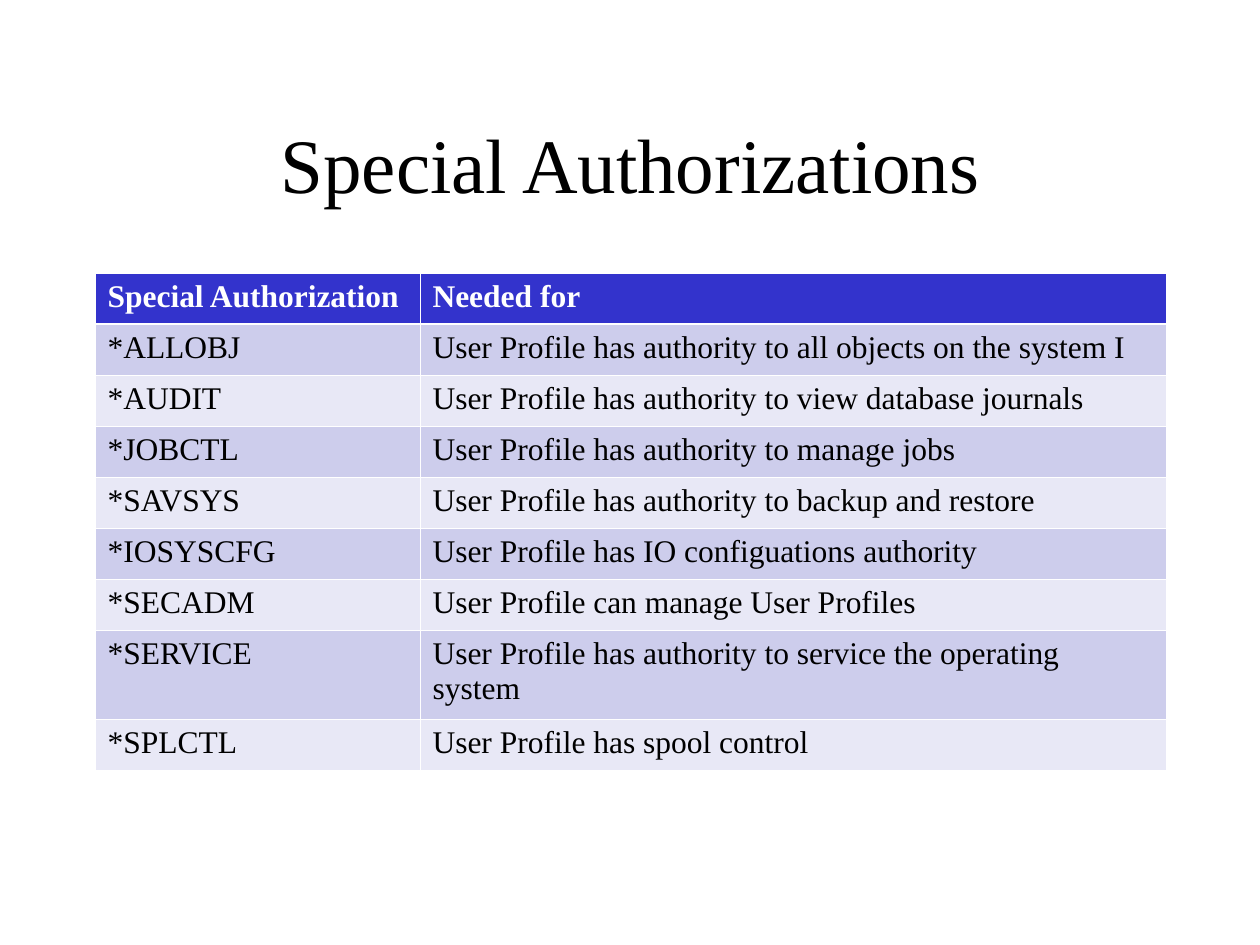
from lxml import etree
from pptx import Presentation
from pptx import util as u
from pptx.dml.color import RGBColor
from pptx.enum import text
from pptx.oxml import ns

PX = 914400 / 126
FONT = "Times New Roman"
COLORS = {
    "ink": "000000",
    "white": "FFFFFF",
    "header": "3333CC",
    "band_dark": "CDCDEC",
    "band_light": "E8E8F6",
}
HEADER = ("Special Authorization", "Needed for")
AUTHORIZATIONS = [
    ("*ALLOBJ", "User Profile has authority to all objects on the system I"),
    ("*AUDIT", "User Profile has authority to view database journals"),
    ("*JOBCTL", "User Profile has authority to manage jobs"),
    ("*SAVSYS", "User Profile has authority to backup and restore"),
    ("*IOSYSCFG", "User Profile has IO configuations authority"),
    ("*SECADM", "User Profile can manage User Profiles"),
    ("*SERVICE", "User Profile has authority to service the operating system"),
    ("*SPLCTL", "User Profile has spool control"),
]


def px(n):
    return u.Emu(round(n * PX))


def rgb(name):
    return RGBColor.from_string(COLORS[name])


def write(tf, words, size=18, color="ink", bold=False, align=text.PP_ALIGN.LEFT):
    p = tf.paragraphs[0]
    p.alignment = align
    r = p.add_run()
    r.text = words
    r.font.name = FONT
    r.font.size = u.Pt(size)
    r.font.bold = bold
    r.font.color.rgb = rgb(color)


def set_borders(cell, **widths):
    tc_pr = cell._tc.get_or_add_tcPr()
    for i, (side, width) in enumerate(widths.items()):
        ln = etree.Element(ns.qn(f"a:ln{side}"), w=str(u.Pt(width)))
        fill = etree.SubElement(ln, ns.qn("a:solidFill"))
        etree.SubElement(fill, ns.qn("a:srgbClr"), val=COLORS["white"])
        tc_pr.insert(i, ln)


def add_title(slide, x, y, w, h):
    sp = slide.shapes.add_textbox(px(x), px(y), px(w), px(h))
    tf = sp.text_frame
    tf.word_wrap = True
    tf.vertical_anchor = text.MSO_ANCHOR.MIDDLE
    write(tf, "Special Authorizations", size=44, align=text.PP_ALIGN.CENTER)


def add_authorizations(slide, x, y, w, h, first_col=325, row_h=51, tall_row=7):
    rows = [HEADER] + AUTHORIZATIONS
    table = slide.shapes.add_table(len(rows), 2, px(x), px(y), px(w), px(h)).table
    for col, width in zip(table.columns, (first_col, w - first_col)):
        col.width = px(width)
    for i, row in enumerate(rows):
        tall_h = h - row_h * (len(rows) - 1)
        table.rows[i].height = px(tall_h if i == tall_row else row_h)
        band = "header" if i == 0 else "band_dark" if i % 2 else "band_light"
        for j, words in enumerate(row):
            cell = table.cell(i, j)
            write(cell.text_frame, words, color="ink" if i else "white", bold=i == 0)
            cell.fill.solid()
            cell.fill.fore_color.rgb = rgb(band)
            set_borders(cell, L=0.45, R=0.45, T=1.47 if i == 1 else 0.45,
                        B=1.47 if i == 0 else 0.45)


def main():
    prs = Presentation()
    prs.slide_width, prs.slide_height = px(1260), px(945)
    slide = prs.slides.add_slide(prs.slide_layouts[6])
    add_title(slide, 95, 84, 1071, 158)
    add_authorizations(slide, 95, 273, 1071, 497)
    prs.save("out.pptx")


if __name__ == "__main__":
    main()
